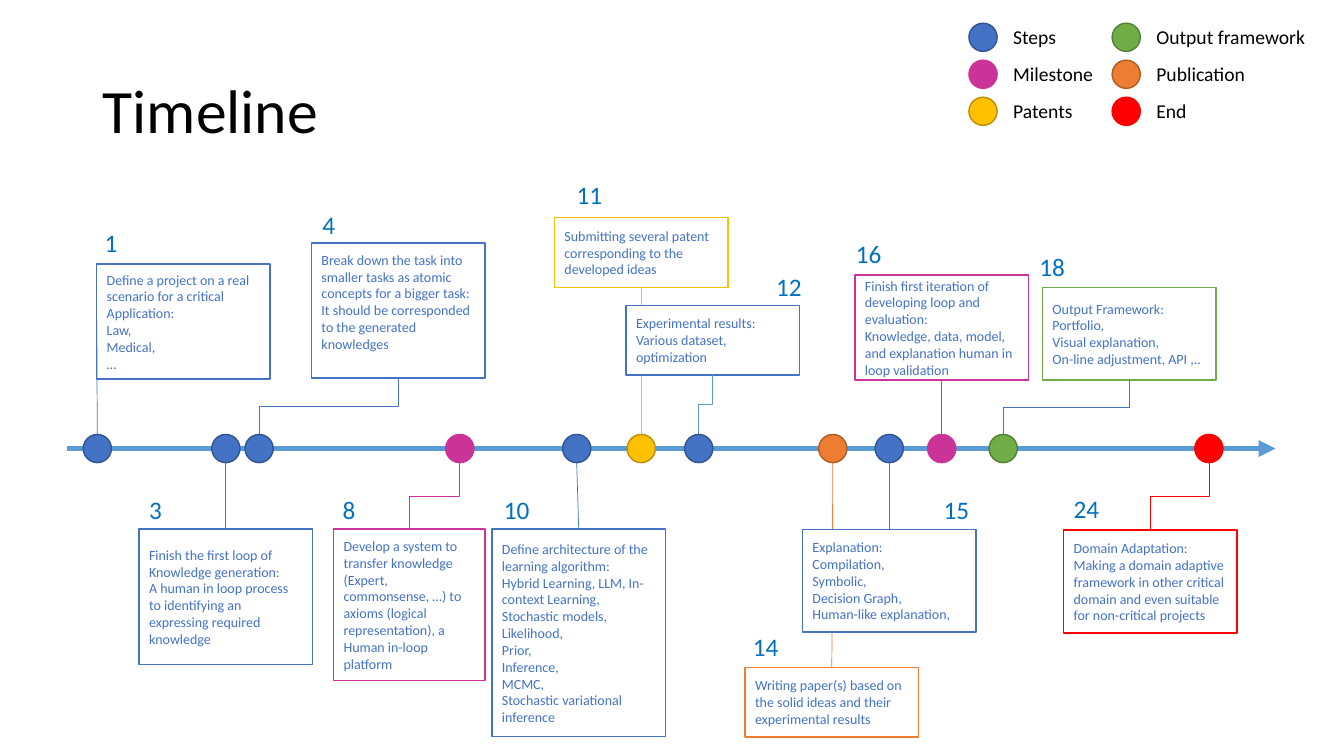
from lxml import etree
from pptx import Presentation
from pptx.dml.color import RGBColor
from pptx.enum.shapes import MSO_CONNECTOR, MSO_SHAPE
from pptx.enum.text import MSO_ANCHOR, MSO_AUTO_SIZE, PP_ALIGN
from pptx.oxml.ns import qn
from pptx.util import Inches, Pt

STRAIGHT, ELBOW = MSO_CONNECTOR.STRAIGHT, MSO_CONNECTOR.ELBOW
RECT, OVAL = MSO_SHAPE.RECTANGLE, MSO_SHAPE.OVAL
MIDDLE, LEFT = MSO_ANCHOR.MIDDLE, PP_ALIGN.LEFT
FIT_SHAPE, NO_FIT = MSO_AUTO_SIZE.SHAPE_TO_FIT_TEXT, MSO_AUTO_SIZE.NONE
TOP_SIDE, LEFT_SIDE, BOTTOM_SIDE = 0, 1, 2

# The slide is a grid of square cells, 133.3 columns by 75 rows
CELL = Inches(0.1)
COLUMNS, ROWS = 133.3, 75
AXIS_ROW = 44.5
DOT = 2.8
BOX_WIDTH = 17.2

BLUE, SKY, NUMBER_BLUE = "4472C4", "5B9BD5", "0070C0"
BLACK, WHITE = "000000", "FFFFFF"

# Kind of event: fill and outline
KINDS = {
    "Steps": (BLUE, "325491"),
    "Milestone": ("CC3399", "CC3399"),
    "Patents": ("FFC000", "BD8E00"),
    "Output framework": ("70AD47", "538035"),
    "Publication": ("ED7D31", "AF5C24"),
    "End": ("FF0000", "FF0000"),
}
LEGEND_TEXT_WIDTHS = (6.3, 10, 8, 16.9, 10.9, 5.1)

# Number, kind, dot centre, number place, box (left, top, width, height),
# paragraphs, exceptions
EVENTS = [
    (1, "Steps", 9.65, (9.4, 22.1), (9.6, 26.2, BOX_WIDTH, 11.4),
     ["Define a project on a real scenario for a critical Application:",
      "Law,", "Medical,", "…"], {"side": LEFT_SIDE}),
    (3, "Steps", 22.4, (13.8, 48.5), (13.8, 52.5, BOX_WIDTH, 13.4),
     ["Finish the first loop of Knowledge generation:",
      "A human in loop process to identifying an expressing required knowledge"], {}),
    (4, "Steps", 25.7, (31, 20.3), (30.9, 24.1, BOX_WIDTH, 13.4),
     ["Break down the task into smaller tasks as atomic concepts for a bigger task:",
      "It should be corresponded to the generated knowledges"], {"bottom": 2.2}),
    (8, "Milestone", 45.6, (33, 48.5), (33.1, 52.5, 15, 15),
     ["Develop a system to transfer knowledge (Expert, commonsense, …) to axioms "
      "(logical representation), a Human in-loop platform"], {}),
    (10, "Steps", 57.2, (49, 48.5), (48.8, 52.5, BOX_WIDTH, 20.6),
     ["Define architecture of the learning algorithm:",
      "Hybrid Learning, LLM, In-context Learning,", "Stochastic models,",
      "Likelihood,", "Prior,", "Inference,", "MCMC,",
      "Stochastic variational inference"], {}),
    (11, "Patents", 63.6, (56.2, 17.3), (55, 21.6, BOX_WIDTH, 6.9),
     ["Submitting several patent corresponding to the developed ideas"], {}),
    (12, "Steps", 69.3, (76, 26.4), (62.1, 30.3, BOX_WIDTH, 6.9),
     ["Experimental results:", "Various dataset,", "optimization"],
     {"link_color": SKY}),
    (14, "Publication", 82.6, (73.7, 62.1), (73.9, 66.2, BOX_WIDTH, 6.9),
     ["Writing paper(s) based on the solid ideas and their experimental results"], {}),
    (15, "Steps", 88.2, (92.6, 48.5), (79.6, 52.5, BOX_WIDTH, 10.2),
     ["Explanation:", "Compilation,", "Symbolic,", "Decision Graph,",
      "Human-like explanation,"], {}),
    (16, "Milestone", 93.4, (83.9, 23.2), (84.8, 27.3, BOX_WIDTH, 10.4),
     ["Finish first iteration of developing loop and evaluation:",
      "Knowledge, data, model, and explanation human in loop validation"], {}),
    (18, "Output framework", 99.5, (102.1, 24.4), (103.4, 28.5, BOX_WIDTH, 9.2),
     ["Output Framework:", "Portfolio,", "Visual explanation,",
      "On-line adjustment, API ,.."], {"link_color": BLUE}),
    (24, "End", 119.9, (105.5, 48.4), (105.5, 52.6, BOX_WIDTH, 10.2),
     ["Domain Adaptation:",
      "Making a domain adaptive framework in other critical domain and even "
      "suitable for non-critical projects"], {}),
]


def rgb(color):
    return RGBColor.from_string(color)


def cells(*counts):
    return [round(count * CELL) for count in counts]


def write(frame, paragraphs, size=10, color=BLUE, font="Calibri", spacing=None):
    frame.text = "\n".join(paragraphs)
    for paragraph in frame.paragraphs:
        paragraph.alignment = LEFT
        paragraph.line_spacing = spacing
        for run in paragraph.runs:
            run.font.size, run.font.name = Pt(size), font
            run.font.color.rgb = rgb(color)


class TimelineSlide:
    def __init__(self, slide):
        self.slide = slide
        self.shapes = slide.shapes

    def title(self, text):
        heading = self.shapes.title
        heading.left, heading.top, heading.width, heading.height = cells(9.2, 4, 115, 14.5)
        write(heading.text_frame, [text], size=44, color=BLACK, spacing=0.9)
        heading.text_frame.vertical_anchor = MIDDLE
        heading.text_frame.auto_size = NO_FIT

    def outline(self, preset, place, fill, line):
        shape = self.shapes.add_shape(preset, *cells(*place))
        shape.shadow.inherit = False
        shape.fill.solid()
        shape.fill.fore_color.rgb = rgb(fill)
        shape.line.color.rgb = rgb(line)
        shape.line.width = Pt(1)
        return shape

    def dot(self, center, row, kind):
        place = (center - DOT / 2, row - DOT / 2, DOT, DOT)
        return self.outline(OVAL, place, *KINDS[kind])

    def box(self, place, paragraphs, color, bottom=0.5):
        box = self.outline(RECT, place, WHITE, color)
        frame = box.text_frame
        frame.word_wrap = True
        frame.vertical_anchor = MIDDLE
        frame.margin_bottom = cells(bottom)[0]
        write(frame, paragraphs)
        return box

    def label(self, text, place, size, color):
        frame = self.shapes.add_textbox(*cells(*place)).text_frame
        frame.word_wrap = False
        frame.auto_size = FIT_SHAPE
        write(frame, [text], size=size, color=color)

    def line(self, start, end, color, width=0.5, route=STRAIGHT):
        line = self.shapes.add_connector(route, *cells(*start, *end))
        line.line.color.rgb = rgb(color)
        line.line.width = Pt(width)
        etree.SubElement(line._element.spPr, qn("a:effectLst"))
        return line

    def axis(self, first, last):
        arrow = self.line((first, AXIS_ROW), (last, AXIS_ROW), SKY, width=4)
        etree.SubElement(arrow.line._get_or_add_ln(), qn("a:tailEnd"), type="triangle")

    def elbow(self, start, end, color):
        """Bent line that leaves and arrives vertically: a quarter turn."""
        line = self.line(start, end, color, route=ELBOW)
        (x1, y1), (x2, y2) = start, end
        across, along = abs(x2 - x1), abs(y2 - y1)
        line.left, line.top, line.width, line.height = cells(
            (x1 + x2 - along) / 2, (y1 + y2 - across) / 2, along, across)
        frame = line._element.spPr.find(qn("a:xfrm"))
        frame.set("rot", "5400000")
        frame.set("flipH", str(int(y2 < y1)))
        frame.set("flipV", str(int(x2 > x1)))

    def event(self, number, kind, center, number_place, place, paragraphs,
              side=None, link_color=None, bottom=0.5):
        color = KINDS[kind][0]
        left, top, width, height = place
        above = top < AXIS_ROW
        box = self.box(place, paragraphs, color, bottom)
        start = (center, AXIS_ROW + (-DOT if above else DOT) / 2)
        end = (left + width / 2, top + height if above else top)
        if side is None:
            side = BOTTOM_SIDE if above else TOP_SIDE
        if side != LEFT_SIDE and abs(end[0] - center) > 1:
            self.elbow(start, end, link_color or color)
        else:
            link = self.line(start, end, link_color or color)
            link.end_connect(box, side)
        self.dot(center, AXIS_ROW, kind)
        number_width = 3.3 if number < 10 else 4.6
        self.label(str(number), (*number_place, number_width, 4), 18, NUMBER_BLUE)

    def legend(self):
        for index, (kind, width) in enumerate(zip(KINDS, LEGEND_TEXT_WIDTHS)):
            column, row = divmod(index, 3)
            center, middle = 97.5 + 14.2 * column, 3.7 + 3.67 * row
            self.dot(center, middle, kind)
            self.label(kind, (center + 2, middle - 1.7, width, 3.4), 14, BLACK)


def main():
    deck = Presentation()
    deck.slide_width, deck.slide_height = cells(COLUMNS, ROWS)
    timeline = TimelineSlide(deck.slides.add_slide(deck.slide_layouts[5]))
    # Title and time axis
    timeline.title("Timeline")
    timeline.axis(6.6, 126.5)
    # Events along the axis
    for *parts, exceptions in EVENTS:
        timeline.event(*parts, **exceptions)
    # Key to the dot colours
    timeline.legend()
    deck.save("out.pptx")


if __name__ == "__main__":
    main()
